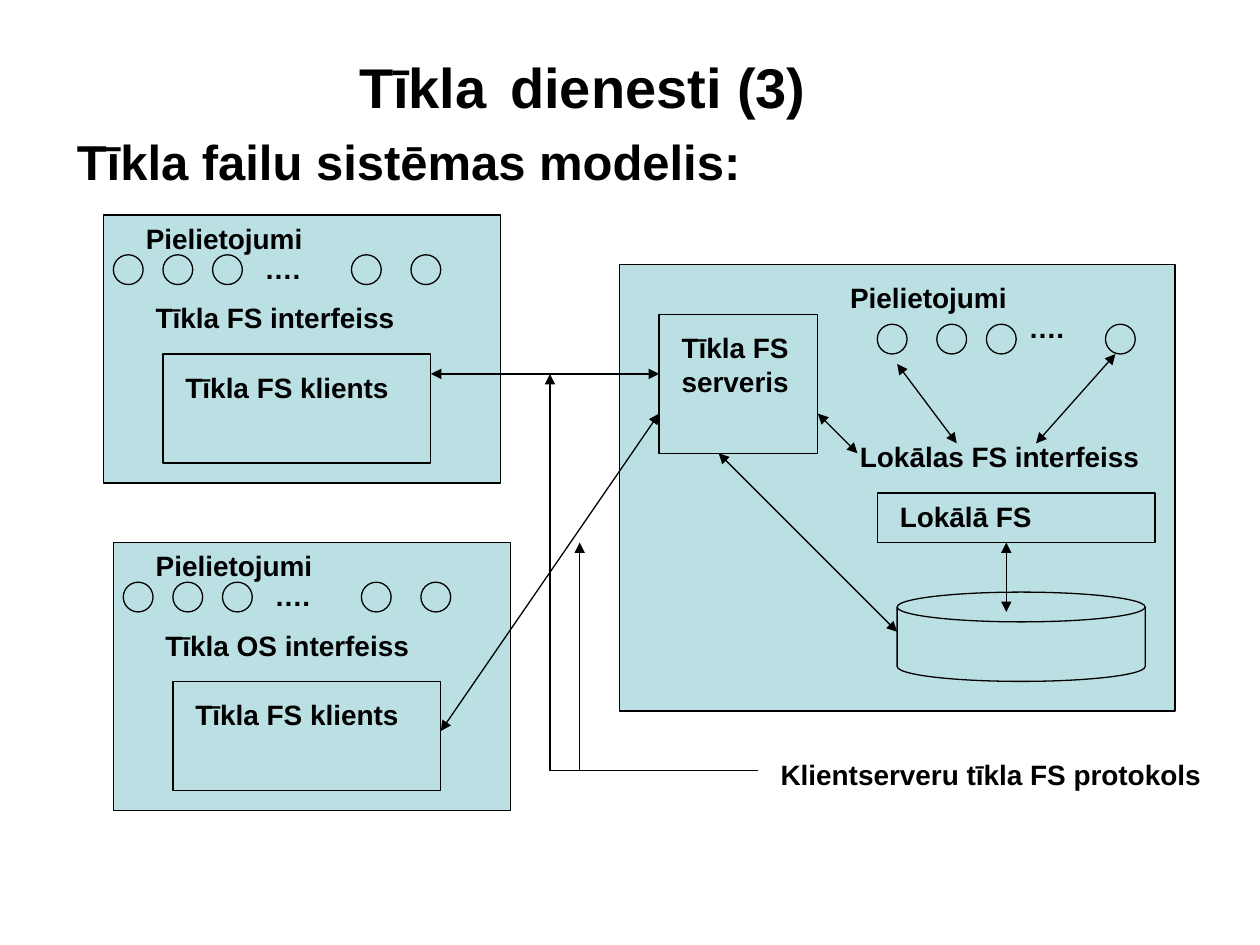
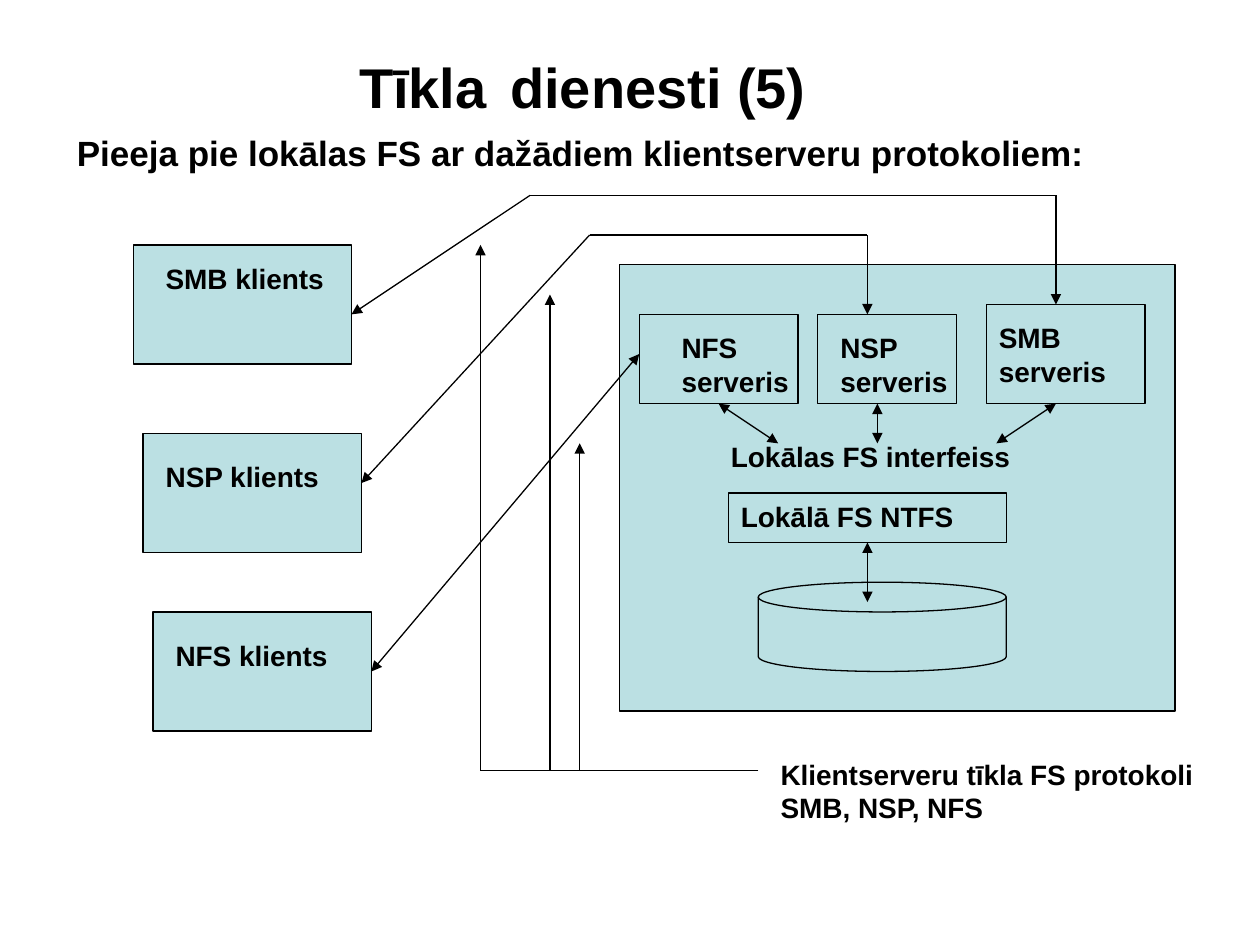
from lxml import etree
from pptx import Presentation
from pptx.dml.color import RGBColor
from pptx.enum.shapes import MSO_CONNECTOR, MSO_SHAPE
from pptx.enum.text import MSO_ANCHOR, MSO_AUTO_SIZE, PP_ALIGN
from pptx.oxml.ns import qn
from pptx.util import Inches, Mm, Pt

RECTANGLE = MSO_SHAPE.RECTANGLE
OVAL = MSO_SHAPE.OVAL
DISK = MSO_SHAPE.FLOWCHART_MAGNETIC_DISK
STRAIGHT = MSO_CONNECTOR.STRAIGHT

FONT = "Arial"
INK = "000000"
PANEL = "BBE0E3"
LINE_WIDTH = Pt(0.75)

# Everything below the headings sits on a grid of 2 mm cells.
CELL = Mm(2)
GRID_LEFT, GRID_TOP = Inches(0.9), Inches(1.55)
PAD_X, PAD_Y = Inches(0.1), Inches(0.05)

SERVER_FRAME = (51, 7, 56, 45)
CIRCLE_SIZE = 3
DOTS = "…."

# Boxes: (column, row, columns, rows), label, label offset in cells.
# Labels: text, (column, row, columns, rows).
# Routes: points, arrow at the start, arrow at the end.
MODEL = {
    "title": "(3)",
    "heading": ("Tīkla failu sistēmas modelis:", 28),
    "clients": [((-1, 2), "Tīkla FS interfeiss"), ((0, 35), "Tīkla OS interfeiss")],
    "boxes": [
        (SERVER_FRAME, "", (0, 0)),
        ((55, 12, 16, 14), "Tīkla FS serveris", (1, 1)),
        ((77, 30, 28, 5), "Lokālā FS", (1, 0)),
    ],
    "circles": [(column, 13) for column in (77, 83, 88, 100)],
    "disk": (79, 40, 25, 9),
    "labels": [
        ("Pielietojumi", (73, 8, 32, 5)),
        (DOTS, (91, 11, 9, 5)),
        ("Lokālas FS interfeiss", (74, 24, 33, 5)),
        ("Klientserveru tīkla FS protokols", (66, 56, 46, 5)),
    ],
    "routes": [
        ([(90, 35), (90, 42)], True, True),
        ([(32, 18), (55, 18)], True, True),
        ([(33, 54), (55, 22)], True, True),
        ([(61, 26), (79, 44)], True, True),
        ([(71, 22), (75, 26)], True, True),
        ([(79, 17), (85, 25)], True, True),
        ([(101, 16), (93, 25)], True, True),
        ([(65, 58), (44, 58), (44, 18)], False, True),
        ([(47, 58), (47, 35)], False, True),
    ],
}
PROTOCOLS = {
    "title": "(5)",
    "heading": ("Pieeja pie lokālas FS ar dažādiem klientserveru protokoliem:", 20),
    "clients": [],
    "boxes": [
        (SERVER_FRAME, "", (0, 0)),
        ((53, 12, 16, 9), "NFS serveris", (3, 1)),
        ((71, 12, 14, 9), "NSP serveris", (1, 1)),
        ((88, 11, 16, 10), "SMB serveris", (0, 1)),
        ((62, 30, 28, 5), "Lokālā FS NTFS", (0, 0)),
        ((2, 5, 22, 12), "SMB klients", (2, 1)),
        ((3, 24, 22, 12), "NSP klients", (1, 2)),
        ((4, 42, 22, 12), "NFS klients", (1, 2)),
    ],
    "circles": [],
    "disk": (65, 39, 25, 9),
    "labels": [
        ("Lokālas FS interfeiss", (61, 24, 33, 5)),
        ("Klientserveru tīkla FS protokoli SMB, NSP, NFS", (66, 56, 46, 8)),
    ],
    "routes": [
        ([(76, 35), (76, 41)], True, True),
        ([(95, 21), (89, 25)], True, True),
        ([(77, 21), (77, 25)], True, True),
        ([(61, 21), (67, 25)], True, True),
        ([(53, 16), (26, 48)], True, True),
        ([(76, 12), (76, 4), (48, 4), (25, 29)], True, True),
        ([(95, 11), (95, 0), (42, 0), (24, 12)], True, True),
        ([(65, 58), (37, 58), (37, 5)], False, True),
        ([(44, 58), (44, 10)], False, True),
        ([(47, 58), (47, 25)], False, True),
    ],
}


def color(value):
    return RGBColor.from_string(value)


def point(column, row):
    return GRID_LEFT + CELL * column, GRID_TOP + CELL * row


def cells(area):
    """Turn (column, row, columns, rows) into left, top, width, height."""
    column, row, columns, rows = area
    return (*point(column, row), CELL * columns, CELL * rows)


def style_font(font, size):
    font.name, font.size, font.bold = FONT, Pt(size), True
    font.color.rgb = color(INK)


def write(shape, text, offset=(0, 0)):
    frame = shape.text_frame
    frame.word_wrap = True
    frame.vertical_anchor = MSO_ANCHOR.TOP
    frame.margin_left = PAD_X + CELL * offset[0]
    frame.margin_top = PAD_Y + CELL * offset[1]
    frame.margin_right = 0
    frame.margin_bottom = 0
    paragraph = frame.paragraphs[0]
    paragraph.text = text
    paragraph.alignment = PP_ALIGN.LEFT
    style_font(paragraph.font, 16)


def add_panel(slide, kind, area):
    shape = slide.shapes.add_shape(kind, *cells(area))
    shape.shadow.inherit = False
    shape.fill.solid()
    shape.fill.fore_color.rgb = color(PANEL)
    shape.line.color.rgb = color(INK)
    shape.line.width = LINE_WIDTH
    return shape


def add_box(slide, joints, area, text="", offset=(0, 0)):
    """Add a rectangle and note the middle of each side as a joint."""
    shape = add_panel(slide, RECTANGLE, area)
    if text:
        write(shape, text, offset)
    column, row, columns, rows = area
    middle_column, middle_row = column + columns / 2, row + rows / 2
    sides = [(middle_column, row), (column, middle_row),
             (middle_column, row + rows), (column + columns, middle_row)]
    joints.update({side: (shape, site) for site, side in enumerate(sides)})


def add_circle(slide, column, row):
    add_panel(slide, OVAL, (column, row, CIRCLE_SIZE, CIRCLE_SIZE))


def add_label(slide, text, area):
    write(slide.shapes.add_textbox(*cells(area)), text)


def add_client(slide, joints, corner, interface):
    """Add a client computer: applications, interface and network FS client."""
    column, row = corner
    add_box(slide, joints, (column, row, 40, 27), "Pielietojumi", (3, 0))
    for step in (1, 6, 11, 25, 31):
        add_circle(slide, column + step, row + 4)
    add_label(slide, DOTS, (column + 15, row + 3, 9, 5))
    add_label(slide, interface, (column + 4, row + 8, 30, 5))
    add_box(slide, joints, (column + 6, row + 14, 27, 11), "Tīkla FS klients", (1, 1))


def add_route(slide, joints, points, start_arrow, end_arrow):
    """Join the points with straight connectors, glued where they meet a joint."""
    last = len(points) - 2
    for index, (start, end) in enumerate(zip(points, points[1:])):
        connector = slide.shapes.add_connector(STRAIGHT, *point(*start), *point(*end))
        if start in joints:
            connector.begin_connect(*joints[start])
        if end in joints:
            connector.end_connect(*joints[end])
        connector.line.color.rgb = color(INK)
        connector.line.width = LINE_WIDTH
        properties = connector._element.spPr
        etree.SubElement(properties, qn("a:effectLst"))
        outline = properties.find(qn("a:ln"))
        if start_arrow and index == 0:
            etree.SubElement(outline, qn("a:headEnd"), type="triangle")
        if end_arrow and index == last:
            etree.SubElement(outline, qn("a:tailEnd"), type="triangle")


def place(placeholder, left, top, width, height):
    placeholder.left, placeholder.top = Inches(left), Inches(top)
    placeholder.width, placeholder.height = Inches(width), Inches(height)
    frame = placeholder.text_frame
    frame.word_wrap = True
    frame.auto_size = MSO_AUTO_SIZE.NONE
    return frame


def add_headings(slide, number, heading, heading_size):
    frame = place(slide.shapes.title, 0.9, 0.28, 7.96, 0.63)
    frame.margin_left = Inches(1.95)
    frame.vertical_anchor = MSO_ANCHOR.MIDDLE
    paragraph = frame.paragraphs[0]
    paragraph.alignment = PP_ALIGN.LEFT
    for text, size in (("Tīkla", 32), (" ", 48), (f"dienesti {number}", 32)):
        run = paragraph.add_run()
        run.text = text
        style_font(run.font, size)

    frame = place(slide.placeholders[1], 0.51, 0.99, 9.06, 6.14)
    paragraph = frame.paragraphs[0]
    paragraph.text = heading
    properties = paragraph._p.get_or_add_pPr()
    properties.set("marL", "0")
    properties.set("indent", "0")
    etree.SubElement(properties, qn("a:buNone"))
    paragraph.space_before = Pt(0)
    style_font(paragraph.font, heading_size)


def build_slide(presentation, content):
    slide = presentation.slides.add_slide(presentation.slide_layouts[1])
    joints = {}
    add_headings(slide, content["title"], *content["heading"])
    for corner, interface in content["clients"]:
        add_client(slide, joints, corner, interface)
    for area, text, offset in content["boxes"]:
        add_box(slide, joints, area, text, offset)
    for column, row in content["circles"]:
        add_circle(slide, column, row)
    add_panel(slide, DISK, content["disk"])
    for text, area in content["labels"]:
        add_label(slide, text, area)
    for route in content["routes"]:
        add_route(slide, joints, *route)


def main():
    presentation = Presentation()
    presentation.slide_width, presentation.slide_height = Inches(10), Inches(7.5)
    for content in (MODEL, PROTOCOLS):
        build_slide(presentation, content)
    presentation.save("out.pptx")


if __name__ == "__main__":
    main()
